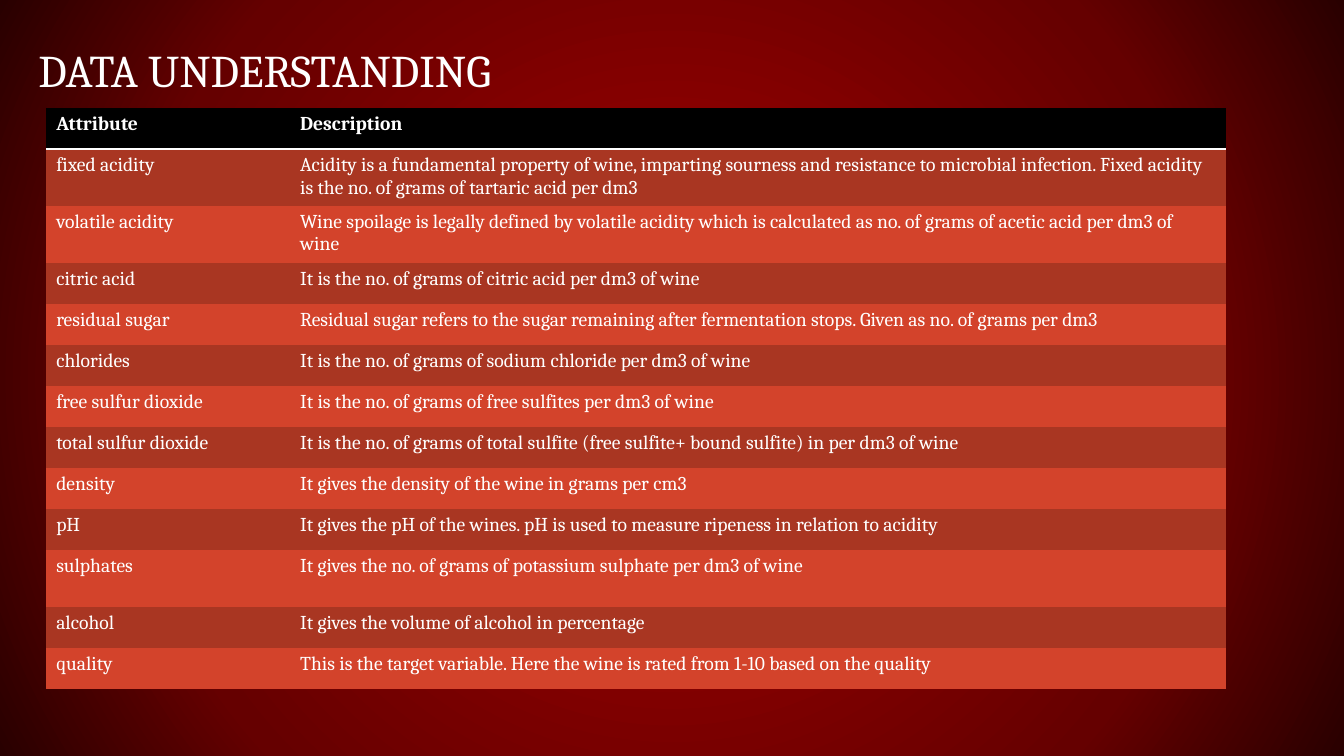
from pptx import Presentation
from pptx.dml.color import RGBColor
from pptx.enum.text import MSO_ANCHOR, MSO_AUTO_SIZE, PP_ALIGN
from pptx.oxml import parse_xml
from pptx.oxml.ns import nsdecls, qn
from pptx.util import Pt

FONT = "Cambria"
COLORS = {
    "text": "FFFFFF",
    "header": "000000",
    "odd row": "A93622",
    "even row": "D3432B",
}
BACKGROUND_STOPS = [(17, "960000"), (71, "650000"), (100, "290000")]
NO_STYLE_NO_GRID = "{2D5ABB26-0587-4C30-8999-92F81FD0307C}"

COLUMN_WIDTHS = [174.2, 668.9]
ROW_HEIGHT, TALL_ROW_HEIGHT = 29.3, 40.7
TALL_ROWS = {"fixed acidity", "volatile acidity", "sulphates"}
ATTRIBUTES = [
    ("Attribute", "Description"),
    ("fixed acidity",
     "Acidity is a fundamental property of wine, imparting sourness and resistance to "
     "microbial infection. Fixed acidity is the no. of grams of tartaric acid per dm3"),
    ("volatile acidity",
     "Wine spoilage is legally defined by volatile acidity which is calculated as "
     "no. of grams of acetic acid per dm3 of wine"),
    ("citric acid", "It is the no. of grams of citric acid per dm3 of wine"),
    ("residual sugar",
     "Residual sugar refers to the sugar remaining after fermentation stops. "
     "Given as no. of grams per dm3"),
    ("chlorides", "It is the no. of grams of sodium chloride per dm3 of wine"),
    ("free sulfur dioxide", "It is the no. of grams of free sulfites per dm3 of wine"),
    ("total sulfur dioxide",
     "It is the no. of grams of total sulfite (free sulfite+ bound sulfite) in per dm3 of wine"),
    ("density", "It gives the density of the wine in grams per cm3"),
    ("pH", "It gives the pH of the wines. pH is used to measure ripeness in relation to acidity"),
    ("sulphates", "It gives the no. of grams of potassium sulphate per dm3 of wine"),
    ("alcohol", "It gives the volume of alcohol in percentage"),
    ("quality",
     "This is the target variable. Here the wine is rated from 1-10 based on the quality"),
]


def add_run(paragraph, text, size, bold=False):
    run = paragraph.add_run()
    run.text = text
    run.font.name = FONT
    run.font.size = Pt(size)
    run.font.bold = bold
    run.font.color.rgb = RGBColor.from_string(COLORS["text"])


def set_background(slide):
    # Radial gradient, brightest in the middle
    slide.background.fill.solid()
    properties = slide.element.find(".//" + qn("p:bgPr"))
    stops = "".join(
        f'<a:gs pos="{position * 1000}"><a:srgbClr val="{color}"/></a:gs>'
        for position, color in BACKGROUND_STOPS)
    gradient = parse_xml(
        f'<a:gradFill {nsdecls("a")} rotWithShape="1"><a:gsLst>{stops}</a:gsLst>'
        '<a:path path="circle"><a:fillToRect l="50000" t="50000" r="50000" b="50000"/>'
        '</a:path></a:gradFill>')
    properties.replace(properties.find(qn("a:solidFill")), gradient)


def set_title(slide, text):
    title = slide.shapes.title
    title.left, title.top, title.width, title.height = Pt(18), Pt(30.2), Pt(804.2), Pt(43.9)
    frame = title.text_frame
    frame.word_wrap = True
    frame.auto_size = MSO_AUTO_SIZE.NONE
    frame.vertical_anchor = MSO_ANCHOR.BOTTOM
    frame.margin_left = frame.margin_right = Pt(9.5)
    frame.margin_top = frame.margin_bottom = Pt(5)
    paragraph = frame.paragraphs[0]
    paragraph.alignment = PP_ALIGN.LEFT
    paragraph.line_spacing = 0.8
    add_run(paragraph, text, 32.4)


def add_bottom_border(cell, width):
    border = parse_xml(
        f'<a:lnB {nsdecls("a")} w="{Pt(width)}"><a:solidFill>'
        f'<a:srgbClr val="{COLORS["text"]}"/></a:solidFill></a:lnB>')
    # Borders come before the fill in the cell properties
    cell.fill.solid()
    cell._tc.get_or_add_tcPr().insert(0, border)


def fill_cell(cell, text, color, is_header):
    if is_header:
        add_bottom_border(cell, 2)
    cell.fill.solid()
    cell.fill.fore_color.rgb = RGBColor.from_string(COLORS[color])
    add_run(cell.text_frame.paragraphs[0], text, 14, bold=is_header)


def add_attribute_table(slide):
    heights = [TALL_ROW_HEIGHT if name in TALL_ROWS else ROW_HEIGHT for name, _ in ATTRIBUTES]
    frame = slide.shapes.add_table(
        len(ATTRIBUTES), len(COLUMN_WIDTHS), Pt(33), Pt(77),
        Pt(sum(COLUMN_WIDTHS)), Pt(sum(heights)))
    frame.element.find(".//" + qn("a:tableStyleId")).text = NO_STYLE_NO_GRID
    table = frame.table
    for column, width in zip(table.columns, COLUMN_WIDTHS):
        column.width = Pt(width)
    for index, (row, height, texts) in enumerate(zip(table.rows, heights, ATTRIBUTES)):
        row.height = Pt(height)
        color = "header" if index == 0 else "odd row" if index % 2 else "even row"
        for cell, text in zip(row.cells, texts):
            fill_cell(cell, text, color, index == 0)


def main():
    presentation = Presentation()
    presentation.slide_width, presentation.slide_height = Pt(960), Pt(540)
    title_only = presentation.slide_layouts[5]
    slide = presentation.slides.add_slide(title_only)
    set_background(slide)
    set_title(slide, "DATA UNDERSTANDING")
    add_attribute_table(slide)
    presentation.save("out.pptx")


main()
